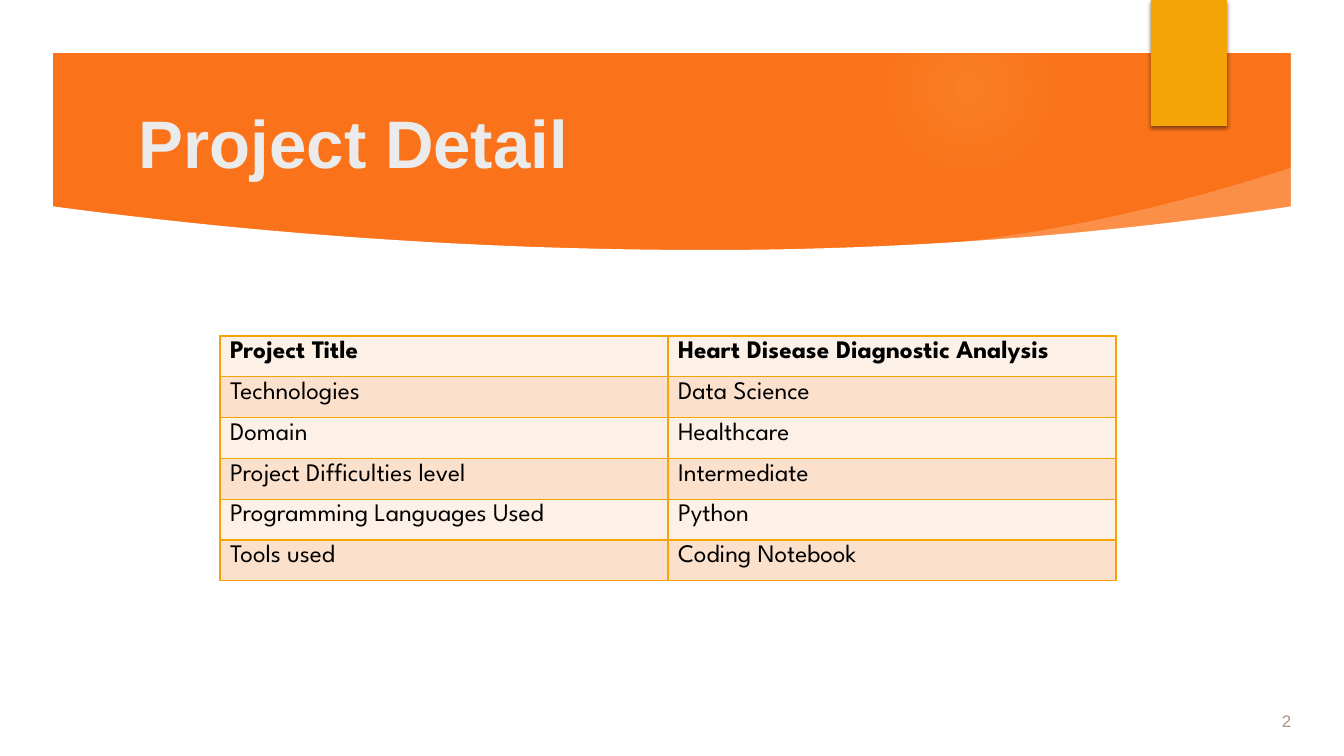
from lxml.etree import SubElement
from pptx import Presentation
from pptx.dml.color import RGBColor
from pptx.enum.shapes import MSO_SHAPE
from pptx.enum.text import MSO_ANCHOR, PP_ALIGN
from pptx.oxml import parse_xml
from pptx.oxml.ns import nsdecls, qn
from pptx.util import Pt

PX = 914400 / 100.8
SLIDE_W, SLIDE_H = 1344, 756
MARGIN = 53

ORANGE = RGBColor(0xFA, 0x73, 0x1A)
GOLD = RGBColor(0xF5, 0xA4, 0x08)
GLOW = RGBColor(0xFA, 0xC9, 0x6A)
WHITE = RGBColor(0xFF, 0xFF, 0xFF)
TITLE_GREY = RGBColor(0xEB, 0xEB, 0xEB)
NUMBER_BROWN = RGBColor(0xAB, 0x92, 0x81)
BLACK = RGBColor(0, 0, 0)
BANDS = RGBColor(0xFD, 0xF0, 0xE7), RGBColor(0xFB, 0xE0, 0xCC)

TITLE_FONT = {"name": "Arial", "size": Pt(48), "bold": True}
NUMBER_FONT = {"name": "Arial", "size": Pt(12), "bold": False}
HEADER_FONT = {"name": "League Spartan", "size": Pt(18), "bold": True}
BODY_FONT = HEADER_FONT | {"bold": False}

PROJECT_ROWS = [
    ("Project Title", "Heart Disease Diagnostic Analysis"),
    ("Technologies", "Data Science"),
    ("Domain", "Healthcare"),
    ("Project Difficulties level", "Intermediate"),
    ("Programming Languages Used", "Python"),
    ("Tools used", "Coding Notebook"),
]


def emu(*lengths):
    return [round(length * PX) for length in lengths]


def apply_format(target, values):
    for name, value in values.items():
        setattr(target, name, value)


def paint(shape, color, opacity=100):
    shape.shadow.inherit = False
    shape.line.fill.background()
    shape.fill.solid()
    shape.fill.fore_color.rgb = color
    if opacity < 100:
        tint = shape.fill._xPr.find(qn("a:solidFill"))[0]
        SubElement(tint, qn("a:alpha"), val=str(opacity * 1000))


def add_preset(slide, kind, box, color):
    shape = slide.shapes.add_shape(kind, *emu(*box))
    paint(shape, color)
    return shape


def add_outline(slide, points, color, opacity=100):
    start, *rest = [tuple(emu(*point)) for point in points]
    builder = slide.shapes.build_freeform(*start, scale=1.0)
    builder.add_line_segments(rest, close=True)
    paint(builder.convert_to_shape(), color, opacity)


def add_glow(slide, box, color, stops):
    glow = add_preset(slide, MSO_SHAPE.OVAL, box, color)
    stop_xml = "".join(
        f'<a:gs pos="{pos * 1000}"><a:srgbClr val="{color}">'
        f'<a:alpha val="{opacity * 1000}"/></a:srgbClr></a:gs>'
        for pos, opacity in stops)
    gradient = parse_xml(
        f'<a:gradFill {nsdecls("a")}><a:gsLst>{stop_xml}</a:gsLst>'
        '<a:path path="circle"><a:fillToRect l="50000" t="50000" r="50000" b="50000"/>'
        '</a:path></a:gradFill>')
    properties = glow._element.spPr
    properties.replace(properties.find(qn("a:solidFill")), gradient)


def add_drop_shadow(shape, blur, distance, opacity):
    effects = shape._element.spPr.find(qn("a:effectLst"))
    effects.append(parse_xml(
        f'<a:outerShdw {nsdecls("a")} blurRad="{Pt(blur)}" dist="{Pt(distance)}" '
        f'dir="5400000" rotWithShape="0"><a:srgbClr val="{BLACK}">'
        f'<a:alpha val="{opacity * 1000}"/></a:srgbClr></a:outerShdw>'))


def write(frame, text, font, color, align=PP_ALIGN.LEFT, spacing=None):
    paragraph = frame.paragraphs[0]
    apply_format(paragraph, {"alignment": align, "line_spacing": spacing})
    run = paragraph.add_run()
    run.text = text
    apply_format(run.font, font)
    run.font.color.rgb = color


def add_label(slide, box, text, font, color, anchor, **paragraph_format):
    frame = slide.shapes.add_textbox(*emu(*box)).text_frame
    apply_format(frame, {"word_wrap": True, "vertical_anchor": anchor})
    write(frame, text, font, color, **paragraph_format)


def set_borders(cell, color):
    properties = cell._tc.get_or_add_tcPr()
    for index, side in enumerate(("lnL", "lnR", "lnT", "lnB")):
        properties.insert(index, parse_xml(
            f'<a:{side} {nsdecls("a")} w="{Pt(1)}"><a:solidFill>'
            f'<a:srgbClr val="{color}"/></a:solidFill></a:{side}>'))


def add_project_table(slide, box, rows):
    table = slide.shapes.add_table(len(rows), len(rows[0]), *emu(*box)).table
    for r, row in enumerate(rows):
        for c, text in enumerate(row):
            cell = table.cell(r, c)
            cell.fill.solid()
            cell.fill.fore_color.rgb = BANDS[r % 2]
            set_borders(cell, GOLD)
            write(cell.text_frame, text, BODY_FONT if r else HEADER_FONT, BLACK)


def banner_edge(steps=24):
    """Bottom of the banner: two half parabolas that meet at the lowest point."""
    left, lowest_x, right = 50, 708, 1294
    lowest_y, rise = 250, 44
    for i in range(-steps, steps + 1):
        t = i / steps
        reach = right - lowest_x if t > 0 else lowest_x - left
        yield lowest_x + t * reach, lowest_y - rise * t * t


def swoosh_edge(steps=24):
    for i in range(steps + 1):
        t = i / steps
        yield 937 + 356 * t, 245 - 38 * t - 40 * t * t


def main():
    prs = Presentation()
    prs.slide_width, prs.slide_height = emu(SLIDE_W, SLIDE_H)
    slide = prs.slides.add_slide(prs.slide_layouts[6])

    # Orange banner: the background, seen above the white sheet
    slide.background.fill.solid()
    slide.background.fill.fore_color.rgb = ORANGE
    add_glow(slide, (882, 0, 176, 176), GLOW, [(0, 14), (36, 7), (73, 0), (100, 0)])
    add_outline(slide, [*swoosh_edge(), (1293, 216), (941, 252)], WHITE, opacity=20)
    add_outline(slide, [*banner_edge(), (1294, 706), (50, 706)], WHITE)
    frame = add_preset(slide, MSO_SHAPE.FRAME, (0, 0, SLIDE_W, SLIDE_H), WHITE)
    frame.adjustments[0] = MARGIN / SLIDE_H

    # Gold tab
    tab = add_preset(slide, MSO_SHAPE.RECTANGLE, (1151, 0, 76, 126), GOLD)
    add_drop_shadow(tab, blur=3, distance=2, opacity=45)

    # Title and slide number
    add_label(slide, (129, 42, 1078, 146), "Project Detail", TITLE_FONT, TITLE_GREY,
              MSO_ANCHOR.BOTTOM, spacing=0.9)
    add_label(slide, (1125, 701, 176, 40), "2", NUMBER_FONT, NUMBER_BROWN,
              MSO_ANCHOR.MIDDLE, align=PP_ALIGN.RIGHT)

    # Project facts
    add_project_table(slide, (220, 336, 896, 245), PROJECT_ROWS)

    prs.save("out.pptx")


if __name__ == "__main__":
    main()
